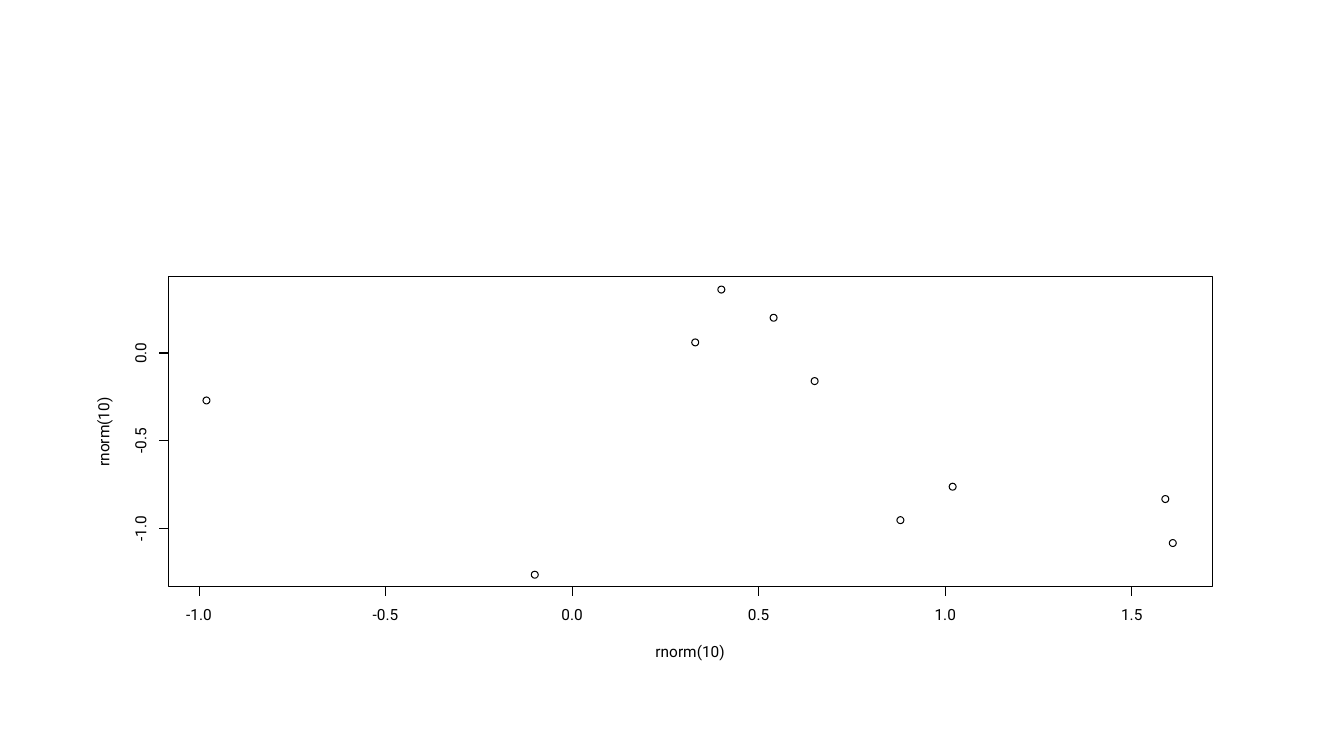
from lxml import etree
from pptx import Presentation
from pptx.dml.color import RGBColor
from pptx.enum.shapes import MSO_CONNECTOR, MSO_SHAPE
from pptx.enum.text import MSO_ANCHOR, PP_ALIGN
from pptx.oxml.ns import qn
from pptx.util import Inches, Pt

LINE = MSO_CONNECTOR.STRAIGHT
RECTANGLE, OVAL = MSO_SHAPE.RECTANGLE, MSO_SHAPE.OVAL
BOTTOM, CENTER = MSO_ANCHOR.BOTTOM, PP_ALIGN.CENTER
BLACK = RGBColor(0, 0, 0)
FONT = "Roboto"
PX = 914400 / 100.8

POINTS = [(0.33, 0.06), (1.02, -0.76), (1.59, -0.83), (0.4, 0.36), (-0.1, -1.26),
          (-0.98, -0.27), (0.54, 0.2), (1.61, -1.08), (0.88, -0.95), (0.65, -0.16)]
X_TICKS = [-1.0, -0.5, 0.0, 0.5, 1.0, 1.5]
Y_TICKS = [-1.0, -0.5, 0.0]
X_UNIT, Y_UNIT = 373, 176
ORIGIN_X, ORIGIN_Y = 404, 76
DOT, TICK = 7, 9
LABEL_W, TITLE_W, TEXT_H = 46, 90, 15


def px(n):
    """Turn pixels into EMU."""
    return round(n * PX)


def add_outline(shapes, kind, x, y, w, h):
    """Add an unfilled shape with a thin black line."""
    sp = shapes.add_shape(kind, px(x), px(y), px(w), px(h))
    sp.shadow.inherit = False
    sp.fill.background()
    sp.line.color.rgb = BLACK
    sp.line.width = Pt(0.75)


def add_line(shapes, x1, y1, x2, y2):
    """Add a thin black straight line."""
    line = shapes.add_connector(LINE, px(x1), px(y1), px(x2), px(y2))
    line.line.color.rgb = BLACK
    line.line.width = Pt(0.75)
    etree.SubElement(line._element.spPr, qn("a:effectLst"))


def add_label(shapes, text, cx, cy, w, rotation=0):
    """Add a text centred on a point."""
    sp = shapes.add_textbox(px(cx - w / 2), px(cy - TEXT_H / 2), px(w), px(TEXT_H))
    sp.rotation = rotation
    tf = sp.text_frame
    tf.word_wrap = True
    tf.vertical_anchor = BOTTOM
    tf.margin_left = tf.margin_top = tf.margin_right = tf.margin_bottom = 0
    p = tf.paragraphs[0]
    p.text = text
    p.alignment = CENTER
    p.line_spacing = Pt(11)
    p.font.name = FONT
    p.font.size = Pt(11)
    p.font.color.rgb = BLACK


def add_scatter_plot(shapes, x, y, w, h):
    """Draw the framed scatter plot with its axes around the given box."""
    def to_x(value):
        """Place a value along the horizontal axis."""
        return x + ORIGIN_X + value * X_UNIT

    def to_y(value):
        """Place a value along the vertical axis."""
        return y + ORIGIN_Y - value * Y_UNIT

    bottom = y + h
    for vx, vy in POINTS:
        add_outline(shapes, OVAL, to_x(vx) - DOT / 2, to_y(vy) - DOT / 2, DOT, DOT)

    add_line(shapes, to_x(X_TICKS[0]), bottom, to_x(X_TICKS[-1]), bottom)
    for value in X_TICKS:
        add_line(shapes, to_x(value), bottom, to_x(value), bottom + TICK)
        add_label(shapes, f"{value:.1f}", to_x(value), bottom + 29, LABEL_W)

    add_line(shapes, x, to_y(Y_TICKS[0]), x, to_y(Y_TICKS[-1]))
    for value in Y_TICKS:
        add_line(shapes, x - TICK, to_y(value), x, to_y(value))
        add_label(shapes, f"{value:.1f}", x - 26, to_y(value), LABEL_W, 270)

    add_outline(shapes, RECTANGLE, x, y, w, h)
    add_label(shapes, "rnorm(10)", x + w / 2, bottom + 66, TITLE_W)
    add_label(shapes, "rnorm(10)", x - 63, y + h / 2, TITLE_W, 270)


def main():
    """Build and save the slide."""
    prs = Presentation()
    prs.slide_width, prs.slide_height = Inches(13.33), Inches(7.5)
    s = prs.slides.add_slide(prs.slide_layouts[6])
    plot = s.shapes.add_group_shape()
    add_scatter_plot(plot.shapes, 168, 277, 1044, 310)
    prs.save("out.pptx")


if __name__ == "__main__":
    main()
